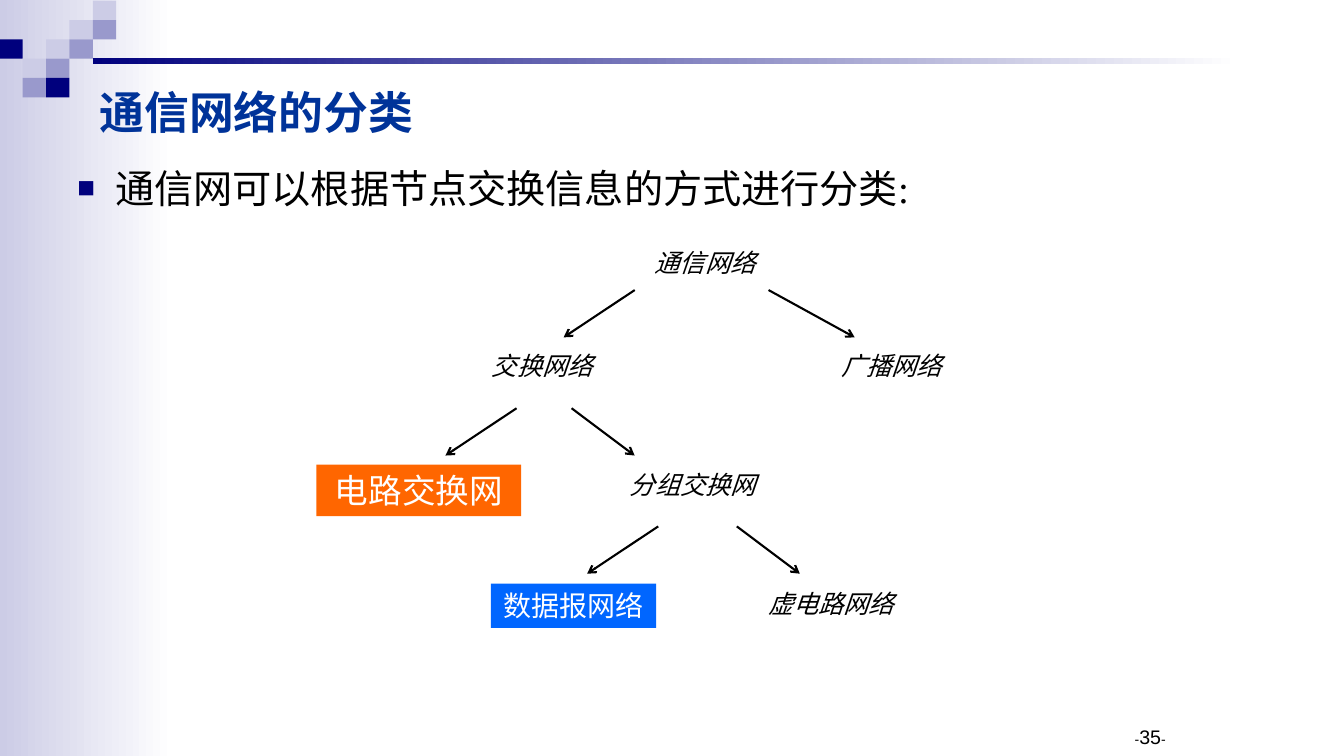
from lxml import etree
from pptx import Presentation
from pptx.dml.color import RGBColor
from pptx.enum.shapes import MSO_CONNECTOR, MSO_SHAPE
from pptx.enum.text import MSO_ANCHOR, MSO_AUTO_SIZE, PP_ALIGN
from pptx.oxml.ns import qn
from pptx.util import Pt

RECTANGLE = MSO_SHAPE.RECTANGLE
STRAIGHT = MSO_CONNECTOR.STRAIGHT
TOP, MIDDLE = MSO_ANCHOR.TOP, MSO_ANCHOR.MIDDLE
LEFT, CENTER, RIGHT = PP_ALIGN.LEFT, PP_ALIGN.CENTER, PP_ALIGN.RIGHT
GROW = MSO_AUTO_SIZE.SHAPE_TO_FIT_TEXT

BLACK, WHITE = "000000", "FFFFFF"
NAVY, LILAC, PALE = "00007D", "9999CC", "CCCCE6"
BLUE, ORANGE, TITLE_BLUE = "0066FF", "FF6600", "003399"


def color(value):
    return RGBColor.from_string(value)


def add_text(paragraph, text, font="Arial", size=18, ink=BLACK, bold=False, italic=False):
    run = paragraph.add_run()
    run.text = text
    run.font.name = font
    run.font.size = Pt(size)
    run.font.color.rgb = color(ink)
    run.font.bold = bold
    run.font.italic = italic


class NetworkSlide:
    heading_font = "Times New Roman"

    def __init__(self, presentation):
        self.slide = presentation.slides.add_slide(presentation.slide_layouts[6])
        self.shapes = self.slide.shapes

    def rectangle(self, left, top, width, height, fill, fade_to=None):
        shape = self.shapes.add_shape(RECTANGLE, Pt(left), Pt(top), Pt(width), Pt(height))
        shape.shadow.inherit = False
        shape.line.fill.background()
        if fade_to:
            shape.fill.gradient()
            shape.fill.gradient_angle = 0
            for stop, value in zip(shape.fill.gradient_stops, (fill, fade_to)):
                stop.color.rgb = color(value)
        else:
            shape.fill.solid()
            shape.fill.fore_color.rgb = color(fill)
        return shape

    def text_box(self, left, top, width, height, anchor=TOP, align=LEFT):
        box = self.shapes.add_textbox(Pt(left), Pt(top), Pt(width), Pt(height))
        box.text_frame.word_wrap = True
        box.text_frame.vertical_anchor = anchor
        paragraph = box.text_frame.paragraphs[0]
        paragraph.alignment = align
        return paragraph

    def bullet(self, paragraph, indent):
        properties = paragraph._p.get_or_add_pPr()
        properties.set("marL", str(Pt(indent)))
        properties.set("indent", str(-Pt(indent)))
        bullet_color = etree.SubElement(properties, qn("a:buClr"))
        etree.SubElement(bullet_color, qn("a:srgbClr"), val=NAVY)
        etree.SubElement(properties, qn("a:buSzPct"), val="75000")
        etree.SubElement(properties, qn("a:buFont"), typeface="Arial")
        etree.SubElement(properties, qn("a:buChar"), char="■")

    def label(self, text, left, top, width, height=28.8, fill=WHITE, **style):
        frame = self.rectangle(left, top, width, height, fill).text_frame
        frame.word_wrap = True
        frame.auto_size = GROW
        frame.vertical_anchor = TOP
        paragraph = frame.paragraphs[0]
        paragraph.alignment = CENTER
        add_text(paragraph, text, **style)

    def arrow(self, left, top, run, drop):
        connector = self.shapes.add_connector(
            STRAIGHT, Pt(left), Pt(top), Pt(left + run), Pt(top + drop))
        connector.line.color.rgb = color(BLACK)
        connector.line.width = Pt(1.5)
        properties = connector._element.spPr
        etree.SubElement(properties.find(qn("a:ln")), qn("a:tailEnd"), type="arrow")
        etree.SubElement(properties, qn("a:effectLst"))

    def decoration(self):
        self.rectangle(0, 0, 124.6, 540, PALE, fade_to=WHITE)
        mosaic = [
            (4, 0, PALE),
            (3, 1, PALE), (4, 1, LILAC),
            (0, 2, NAVY), (2, 2, PALE), (3, 2, LILAC),
            (1, 3, PALE), (2, 3, LILAC),
            (1, 4, LILAC), (2, 4, NAVY),
        ]
        for column, row, fill in mosaic:
            self.rectangle(-0.5 + 16.7 * column, 0.5 + 13.8 * row, 16.7, 13.8, fill)
        self.rectangle(66.6, 41.7, 818.6, 4.3, NAVY, fade_to=WHITE)

    def headings(self):
        body = self.text_box(48.2, 113.8, 864, 402.5)
        self.bullet(body, 27)
        add_text(body, "通信网可以根据节点交换信息的方式进行分类:", font=self.heading_font, size=28)
        title = self.text_box(64, 54, 657.4, 51, anchor=MIDDLE)
        add_text(title, "通信网络的分类", font=self.heading_font, size=32, ink=TITLE_BLUE, bold=True)
        number = self.text_box(671.8, 514, 168, 36, align=RIGHT)
        for text, size in (("-", 10), ("35", 14), ("-", 10)):
            add_text(number, text, size=size)

    def tree(self):
        plain_labels = [
            ("通信网络", 424.8, 172.8, 157.7),
            ("交换网络", 322.6, 247, 129.6),
            ("广播网络", 560.9, 247, 151.9),
            ("分组交换网", 419, 331.9, 151.9),
            ("虚电路网络", 520.6, 416.9, 146.2),
        ]
        for text, left, top, width in plain_labels:
            self.label(text, left, top, width, italic=True)
        self.label("电路交换网", 226.1, 331.9, 146.2, 36.7, ORANGE, size=24, ink=WHITE)
        self.label("数据报网络", 350.6, 416.9, 118.1, 31.7, BLUE, size=20, ink=WHITE)

        branches = [(453.4, 549, 61.5), (369, 408.3, 45), (470.2, 526.3, 45)]
        for level, (left_start, right_start, right_run) in enumerate(branches):
            top = 207.2 + 84.4 * level
            self.arrow(left_start, top, -50.8, 33.8)
            self.arrow(right_start, top, right_run, 33.8)


if __name__ == "__main__":
    presentation = Presentation()
    presentation.slide_width, presentation.slide_height = Pt(960), Pt(540)
    network = NetworkSlide(presentation)
    network.decoration()
    network.headings()
    network.tree()
    presentation.save("out.pptx")
